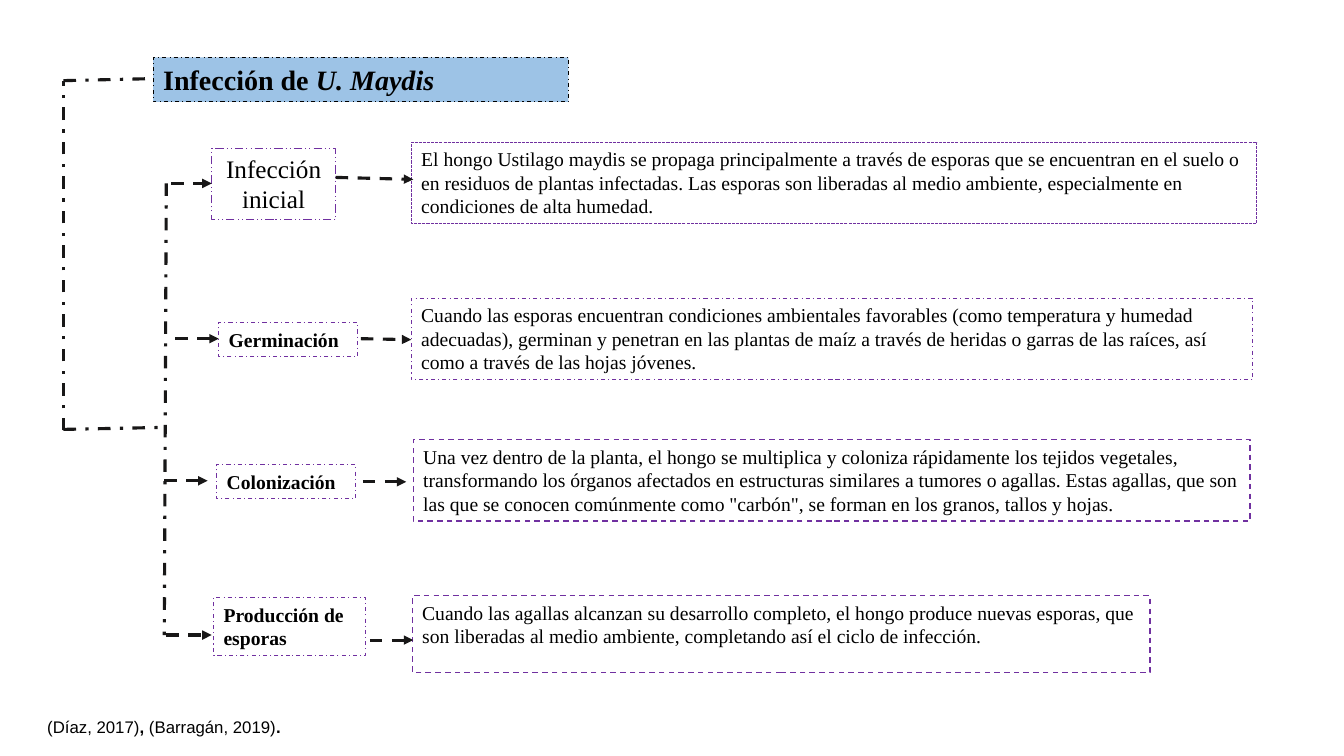
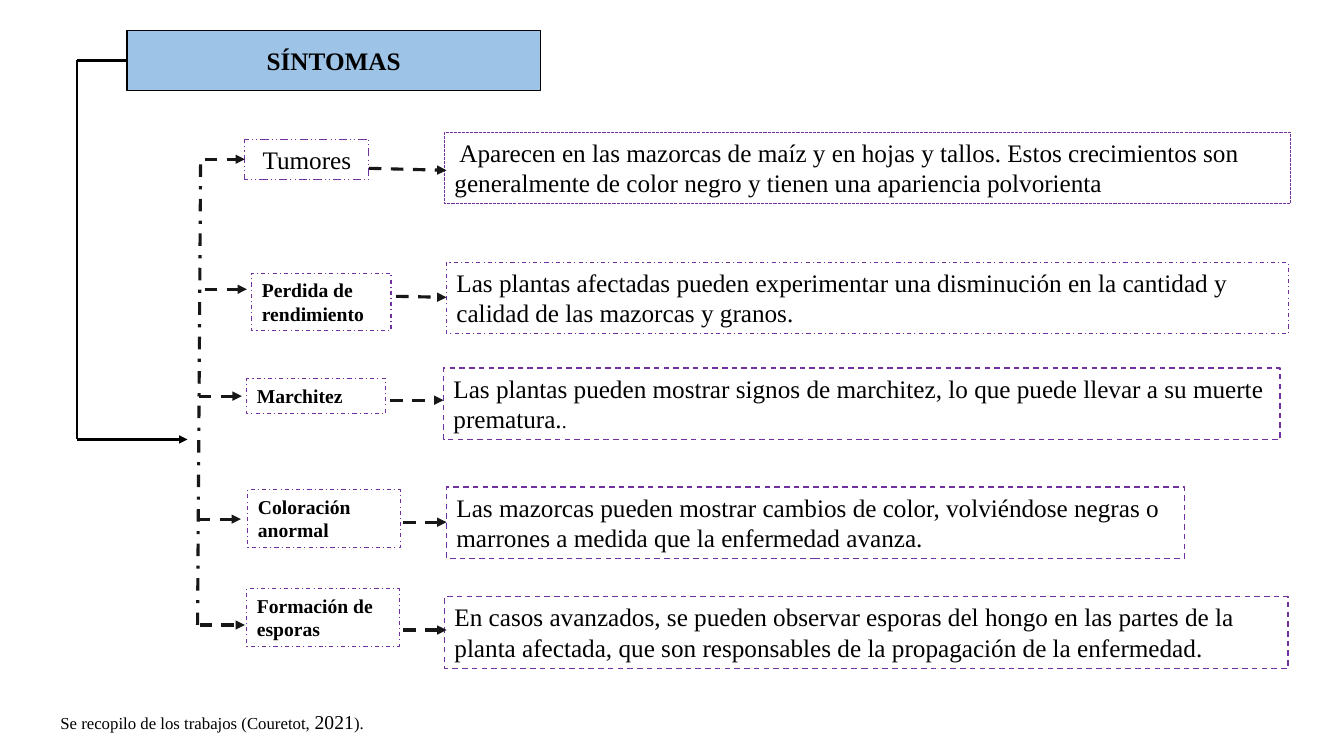
import pptx
import pptx.util
import pptx.dml.color
import pptx.enum.dml
import pptx.enum.shapes
import pptx.enum.text
import pptx.oxml
import pptx.oxml.ns

DASH = pptx.enum.dml.MSO_LINE
ALIGN = pptx.enum.text.PP_ALIGN
ANCHOR = pptx.enum.text.MSO_ANCHOR
BLACK = pptx.dml.color.RGBColor(0x00, 0x00, 0x00)
CHARCOAL = pptx.dml.color.RGBColor(0x18, 0x17, 0x17)
PURPLE = pptx.dml.color.RGBColor(0x70, 0x30, 0xA0)
LIGHT_BLUE = pptx.dml.color.RGBColor(0x9D, 0xC3, 0xE6)

SLIDE_WIDTH = pptx.util.Inches(13.33)
SLIDE_HEIGHT = pptx.util.Inches(7.5)
COLUMN = SLIDE_WIDTH / 40
ROW = SLIDE_HEIGHT / 22.5

SERIF = "Times New Roman"
SANS = "Arial"
FIRST_LABEL = {"size": 18, "dash": DASH.DASH_DOT_DOT, "align": ALIGN.CENTER}
OTHER_LABEL = {"size": 14, "bold": True, "dash": DASH.DASH_DOT}
DETAIL_LINES = [(DASH.SQUARE_DOT, 0.75), (DASH.DASH_DOT, 0.75), (DASH.DASH, 1)]
TRUNK = {"color": CHARCOAL, "width": 2.25, "dash": DASH.DASH_DOT}
ARROW = {"color": CHARCOAL, "width": 2.25, "dash": DASH.DASH, "arrow": True}
SOLID = {"color": BLACK, "width": 1.5}

INFECTION_STAGES = [
    {"label": "Infección inicial", "label_box": (6.3, 4.41, 3.69, 2.13),
     "detail": ["El hongo Ustilago maydis se propaga principalmente a través de esporas que se "
                "encuentran en el suelo o en residuos de plantas infectadas. Las esporas son "
                "liberadas al medio ambiente, especialmente en condiciones de alta humedad."],
     "detail_box": (12.24, 4.23, 25.17, 2.43),
     "branch": (5.1, 5.46, 6.3, 5.46), "link": (9.99, 5.28, 12.3, 5.34)},
    {"label": "Germinación", "label_box": (6.51, 9.6, 4.14, 1.02),
     "detail": ["Cuando las esporas encuentran condiciones ambientales favorables (como "
                "temperatura y humedad adecuadas), germinan y penetran en las plantas de maíz a "
                "través de heridas o garras de las raíces, así como a través de las hojas jóvenes."],
     "detail_box": (12.24, 8.88, 25.05, 2.43),
     "branch": (5.22, 10.08, 6.51, 10.08), "link": (10.74, 10.08, 12.24, 10.11)},
    {"label": "Colonización", "label_box": (6.45, 13.83, 4.14, 1.02),
     "detail": ["Una vez dentro de la planta, el hongo se multiplica y coloniza rápidamente los "
                "tejidos vegetales, transformando los órganos afectados en estructuras similares "
                "a tumores o agallas. Estas agallas, que son las que se conocen comúnmente como "
                "\"carbón\", se forman en los granos, tallos y hojas."],
     "detail_box": (12.3, 13.08, 24.9, 2.43),
     "branch": (4.89, 14.31, 6.18, 14.31), "link": (10.8, 14.34, 12.09, 14.34)},
    {"label": "Producción de esporas", "label_box": (6.36, 17.79, 4.53, 1.71),
     "detail": ["Cuando las agallas alcanzan su desarrollo completo, el hongo produce nuevas "
                "esporas, que son liberadas al medio ambiente, completando así el ciclo de "
                "infección."],
     "detail_box": (12.27, 17.73, 21.96, 2.28),
     "branch": (4.95, 18.9, 6.3, 18.9), "link": (11.01, 19.05, 12.3, 19.05)},
]

SYMPTOMS = [
    {"label": "Tumores", "label_box": (7.29, 4.14, 3.69, 1.2),
     "detail": [" Aparecen en las mazorcas de maíz y en hojas y tallos. Estos crecimientos son "
                "generalmente de color negro y tienen una apariencia polvorienta"],
     "detail_box": (13.23, 3.93, 25.17, 2.13),
     "branch": (6.09, 4.74, 7.29, 4.74), "link": (10.98, 5.01, 13.29, 5.07)},
    {"label": "Perdida de rendimiento", "label_box": (7.5, 8.13, 4.14, 1.71),
     "detail": ["Las plantas afectadas pueden experimentar una disminución en la cantidad y "
                "calidad de las mazorcas y granos."],
     "detail_box": (13.29, 7.8, 25.05, 2.13),
     "branch": (6.09, 8.61, 7.35, 8.61), "link": (11.79, 8.82, 13.29, 8.85)},
    {"label": "Marchitez", "label_box": (7.35, 11.28, 4.14, 1.02),
     "detail": ["Las plantas pueden mostrar signos de marchitez, lo que puede llevar a su muerte "
                "prematura.", (".", {"size": 14})],
     "detail_box": (13.2, 10.95, 24.9, 2.13),
     "branch": (5.91, 11.79, 7.2, 11.79), "link": (11.61, 11.91, 13.2, 11.91)},
    {"label": "Coloración anormal", "label_box": (7.38, 14.58, 4.53, 1.71),
     "detail": ["Las mazorcas pueden mostrar cambios de color, volviéndose negras o marrones a "
                "medida que la enfermedad avanza."],
     "detail_box": (13.29, 14.49, 21.96, 2.13),
     "branch": (5.88, 15.45, 7.17, 15.45), "link": (12, 15.54, 13.29, 15.54)},
    {"label": "Formación de esporas", "label_box": (7.35, 17.52, 4.53, 1.71),
     "detail": ["En casos avanzados, se pueden observar esporas del hongo en las partes de la "
                "planta afectada, que son responsables de la propagación de la enfermedad."],
     "detail_box": (13.23, 17.76, 25.11, 2.13),
     "branch": (5.94, 18.6, 7.29, 18.6), "link": (12, 18.75, 13.29, 18.75)},
]


def place(left, top, right, bottom):
    return [round(left * COLUMN), round(top * ROW), round(right * COLUMN), round(bottom * ROW)]


def set_attributes(target, values):
    for name, value in values.items():
        setattr(target, name, value)


def write_text(shape, runs, size, bold=False, font=SERIF, align=ALIGN.LEFT, anchor=ANCHOR.TOP):
    set_attributes(shape.text_frame, {"word_wrap": True, "vertical_anchor": anchor})
    paragraph = shape.text_frame.paragraphs[0]
    paragraph.alignment = align
    for part in runs:
        text, changes = (part, {}) if isinstance(part, str) else part
        run = paragraph.add_run()
        run.text = text
        values = {"name": font, "size": size, "bold": bold, **changes}
        values["size"] = pptx.util.Pt(values["size"])
        set_attributes(run.font, values)
        run.font.color.rgb = BLACK
    return paragraph


def style_line(line, color, width, dash=DASH.SOLID):
    line.color.rgb = color
    set_attributes(line, {"width": pptx.util.Pt(width), "dash_style": dash})


def add_box(slide, box, runs, color=PURPLE, width=0.75, dash=DASH.SOLID, fill=None, **text_format):
    shape = slide.shapes.add_shape(pptx.enum.shapes.MSO_SHAPE.RECTANGLE, *place(*box))
    shape.shadow.inherit = False
    if fill is None:
        shape.fill.background()
    else:
        shape.fill.solid()
        shape.fill.fore_color.rgb = fill
    style_line(shape.line, color, width, dash)
    write_text(shape, runs, **text_format)


def add_line(slide, ends, arrow=False, **line_format):
    connector = slide.shapes.add_connector(pptx.enum.shapes.MSO_CONNECTOR.STRAIGHT, *place(*ends))
    style_line(connector.line, **line_format)
    properties = connector.element.spPr
    if arrow:
        outline = properties.find(pptx.oxml.ns.qn("a:ln"))
        head = pptx.oxml.parse_xml(f'<a:tailEnd {pptx.oxml.ns.nsdecls("a")} type="triangle"/>')
        outline.append(head)
    properties.append(pptx.oxml.parse_xml(f'<a:effectLst {pptx.oxml.ns.nsdecls("a")}/>'))


def add_title(slide, box, runs, **box_format):
    add_box(slide, box, runs, color=BLACK, fill=LIGHT_BLUE, bold=True, **box_format)


def add_citation(slide, box, runs, **text_format):
    return write_text(slide.shapes.add_textbox(*place(*box)), runs, size=12, **text_format)


def add_tree(slide, items, trunk, detail_size):
    add_line(slide, trunk, **TRUNK)
    for index, item in enumerate(items):
        label_format = OTHER_LABEL if index else FIRST_LABEL
        dash, width = DETAIL_LINES[min(index, len(DETAIL_LINES) - 1)]
        add_box(slide, item["label_box"], [item["label"]], **label_format)
        add_box(slide, item["detail_box"], item["detail"], size=detail_size, dash=dash, width=width)
        add_line(slide, item["branch"], **ARROW)
        add_line(slide, item["link"], **ARROW)


def build_infection(slide):
    add_tree(slide, INFECTION_STAGES, (4.95, 5.46, 4.89, 18.9), 14)
    add_title(slide, (4.56, 1.71, 12.36, 1.32), ["Infección de", (" U. Maydis", {"italic": True})],
              size=20, dash=DASH.DASH_DOT)
    for ends in [(1.89, 12.81, 1.89, 2.4), (1.89, 2.4, 4.56, 2.34), (1.89, 12.78, 4.92, 12.72)]:
        add_line(slide, ends, **TRUNK)
    add_citation(slide, (1.11, 20.88, 36, 1.5),
                 ["(Díaz, 2017)", (", ", {"bold": True}), "(Barragán, 2019)", (".", {"bold": True})],
                 font=SANS, anchor=ANCHOR.MIDDLE)


def build_symptoms(slide):
    add_tree(slide, SYMPTOMS, (5.97, 4.89, 5.88, 18.6), 18)
    add_title(slide, (3.78, 0.9, 12.3, 1.8), ["SÍNTOMAS"], size=18, width=1,
              align=ALIGN.CENTER, anchor=ANCHOR.MIDDLE)
    add_line(slide, (3.78, 1.8, 2.28, 1.8), **SOLID)
    add_line(slide, (2.28, 1.8, 2.28, 13.08), **SOLID)
    add_line(slide, (2.28, 13.08, 5.58, 13.08), arrow=True, **SOLID)
    paragraph = add_citation(slide, (0, 20.97, 20, 1),
                             ["Se recopilo de los trabajos (Couretot, ", ("2021", {"size": 14}), ")."],
                             align=ALIGN.JUSTIFY)
    set_attributes(paragraph, {"line_spacing": pptx.util.Pt(16.8), "space_after": pptx.util.Pt(15)})
    paragraph._p.get_or_add_pPr().set("marL", str(pptx.util.Inches(0.5)))


def main():
    presentation = pptx.Presentation()
    set_attributes(presentation, {"slide_width": SLIDE_WIDTH, "slide_height": SLIDE_HEIGHT})
    for build in (build_infection, build_symptoms):
        build(presentation.slides.add_slide(presentation.slide_layouts[6]))
    presentation.save("out.pptx")


if __name__ == "__main__":
    main()
